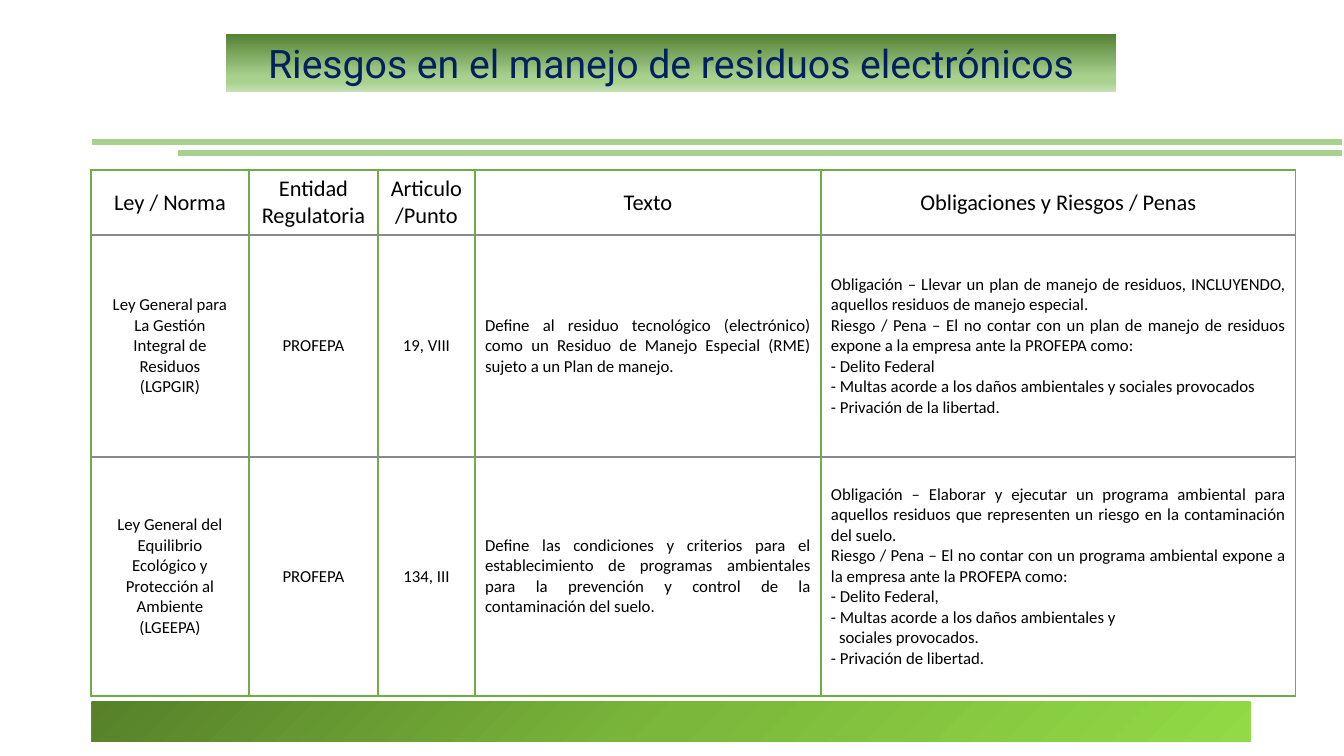
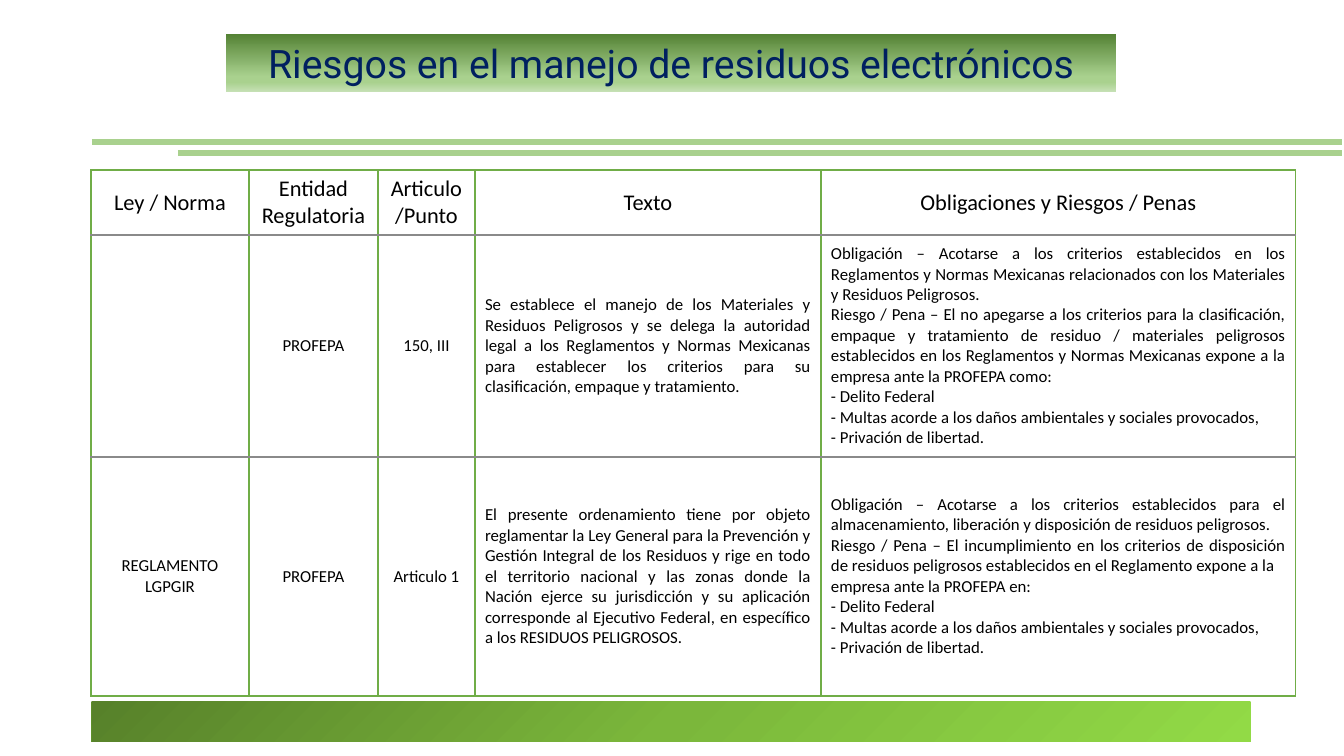
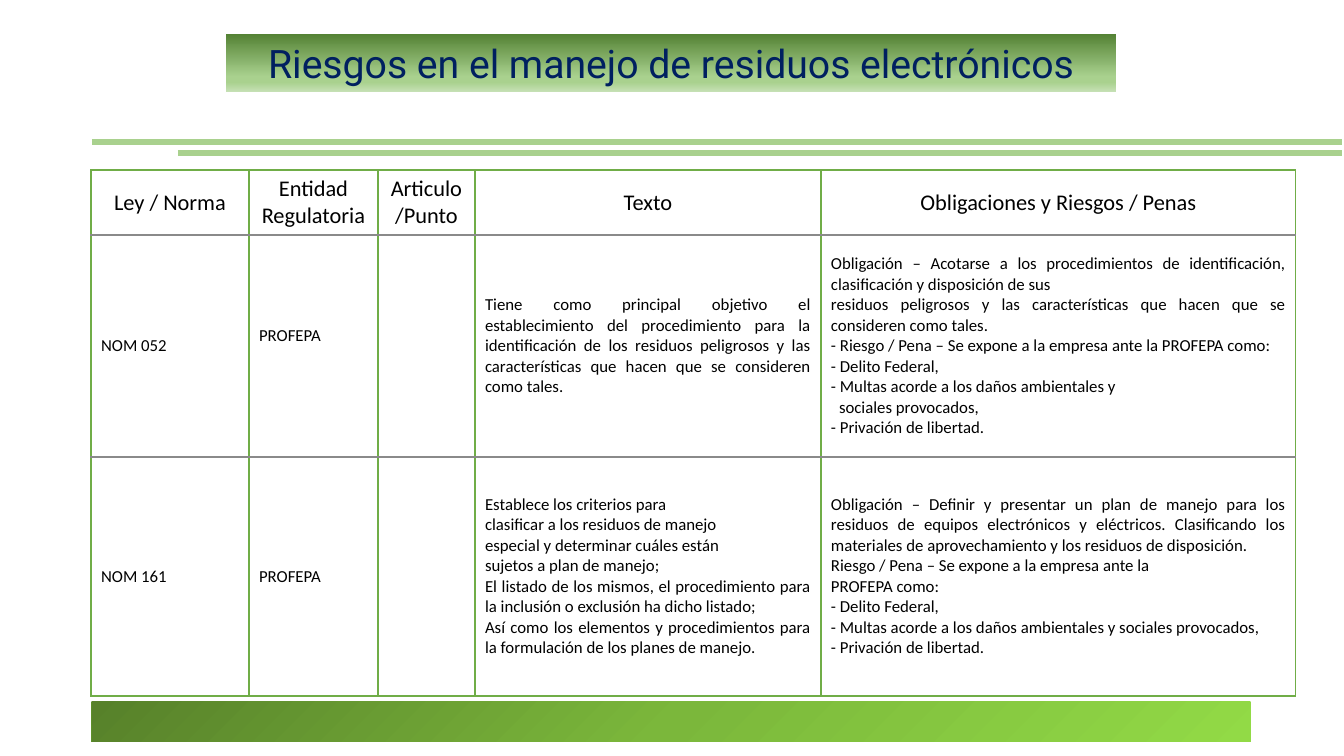
from pptx import Presentation
from pptx.dml.color import RGBColor
from pptx.enum.shapes import MSO_CONNECTOR as LINK, MSO_SHAPE as FORM
from pptx.enum.text import MSO_ANCHOR as ANCHOR, MSO_AUTO_SIZE as FIT, PP_ALIGN as ALIGN
from pptx.oxml.ns import qn
from pptx.util import Pt
from lxml.etree import SubElement

SCALE = 914400 / 100.8
COLOR = {
    "ink": "000000", "paper": "FFFFFF", "title": "002060",
    "rule": "A9D18E", "grid": "70AD47", "split": "8A8A8A",
}
TITLE_STOPS = [(0, "548235"), (74, "A9D18E"), (83, "A9D18E"), (100, "C5E0B4")]
FOOT_STOPS = [(0, "57812A"), (50, "7BB73B"), (100, "92DA46")]

TITLE = "Riesgos en el manejo de residuos electrónicos"
COLS = [158, 129, 97, 346, 475]
ROWS = [65, 222, 239]
HEAD = ["Ley / Norma", "Entidad\nRegulatoria", "Articulo\n/Punto", "Texto",
        "Obligaciones y Riesgos / Penas"]
INDENT = ">"  # marks a paragraph that continues a dash item

LAWS = [
    ["Ley General para\nLa Gestión\nIntegral de\nResiduos\n(LGPGIR)", "PROFEPA", "19, VIII",
     "Define al residuo tecnológico (electrónico) como un Residuo de Manejo Especial (RME) "
     "sujeto a un Plan de manejo.",
     "Obligación – Llevar un plan de manejo de residuos, INCLUYENDO, aquellos residuos de "
     "manejo especial.\n"
     "Riesgo / Pena – El no contar con un plan de manejo de residuos expone a la empresa ante "
     "la PROFEPA como:\n"
     "- Delito Federal\n"
     "- Multas acorde a los daños ambientales y sociales provocados\n"
     "- Privación de la libertad."],
    ["Ley General del\nEquilibrio\nEcológico y\nProtección al\nAmbiente\n(LGEEPA)", "PROFEPA",
     "134, III",
     "Define las condiciones y criterios para el establecimiento de programas ambientales para "
     "la prevención y control de la contaminación del suelo.",
     "Obligación – Elaborar y ejecutar un programa ambiental para aquellos residuos que "
     "representen un riesgo en la contaminación del suelo.\n"
     "Riesgo / Pena – El no contar con un programa ambiental expone a la empresa ante la "
     "PROFEPA como:\n"
     "- Delito Federal,\n"
     "- Multas acorde a los daños ambientales y\n"
     ">sociales provocados.\n"
     "- Privación de libertad."],
]
RULES = [
    ["", "PROFEPA", "150, III",
     "Se establece el manejo de los Materiales y Residuos Peligrosos y se delega la autoridad "
     "legal a los Reglamentos y Normas Mexicanas para establecer los criterios para su "
     "clasificación, empaque y tratamiento.",
     "Obligación – Acotarse a los criterios establecidos en los Reglamentos y Normas Mexicanas "
     "relacionados con los Materiales y Residuos Peligrosos.\n"
     "Riesgo / Pena – El no apegarse a los criterios para la clasificación, empaque y "
     "tratamiento de residuo / materiales peligrosos establecidos en los Reglamentos y Normas "
     "Mexicanas expone a la empresa ante la PROFEPA como:\n"
     "- Delito Federal\n"
     "- Multas acorde a los daños ambientales y sociales provocados,\n"
     "- Privación de libertad."],
    ["REGLAMENTO\nLGPGIR", "PROFEPA", "Articulo 1",
     "El presente ordenamiento tiene por objeto reglamentar la Ley General para la Prevención y "
     "Gestión Integral de los Residuos y rige en todo el territorio nacional y las zonas donde "
     "la Nación ejerce su jurisdicción y su aplicación corresponde al Ejecutivo Federal, en "
     "específico a los RESIDUOS PELIGROSOS.",
     "Obligación – Acotarse a los criterios establecidos para el almacenamiento, liberación y "
     "disposición de residuos peligrosos.\n"
     "Riesgo / Pena – El incumplimiento en los criterios de disposición de residuos peligrosos "
     "establecidos en el Reglamento expone a la\n"
     "empresa ante la PROFEPA en:\n"
     "- Delito Federal\n"
     "- Multas acorde a los daños ambientales y sociales provocados,\n"
     "- Privación de libertad."],
]
NORMS = [
    ["NOM 052", "PROFEPA", "",
     "Tiene como principal objetivo el establecimiento del procedimiento para la identificación "
     "de los residuos peligrosos y las características que hacen que se consideren como tales.",
     "Obligación – Acotarse a los procedimientos de identificación, clasificación y disposición "
     "de sus\n"
     "residuos peligrosos y las características que hacen que se consideren como tales.\n"
     "- Riesgo / Pena – Se expone a la empresa ante la PROFEPA como:\n"
     "- Delito Federal,\n"
     "- Multas acorde a los daños ambientales y\n"
     ">sociales provocados,\n"
     "- Privación de libertad."],
    ["NOM 161", "PROFEPA", "",
     "Establece los criterios para\n"
     "clasificar a los residuos de manejo\n"
     "especial y determinar cuáles están\n"
     "sujetos a plan de manejo;\n"
     "El listado de los mismos, el procedimiento para la inclusión o exclusión ha dicho listado;\n"
     "Así como los elementos y procedimientos para la formulación de los planes de manejo.",
     "Obligación – Definir y presentar un plan de manejo para los residuos de equipos "
     "electrónicos y eléctricos. Clasificando los materiales de aprovechamiento y los residuos "
     "de disposición.\n"
     "Riesgo / Pena – Se expone a la empresa ante la\n"
     "PROFEPA como:\n"
     "- Delito Federal,\n"
     "- Multas acorde a los daños ambientales y sociales provocados,\n"
     "- Privación de libertad."],
]


def px(n):
    return round(n * SCALE)


def rgb(name):
    return RGBColor.from_string(COLOR[name])


def write(frame, text, size=12, font="Calibri", color="ink", align=ALIGN.CENTER):
    for i, line in enumerate(text.split("\n")):
        par = frame.add_paragraph() if i else frame.paragraphs[0]
        par.text = line.removeprefix(INDENT)
        if line.startswith(INDENT):
            par._p.get_or_add_pPr().set("marL", str(px(8)))
        par.alignment = align
        par.line_spacing = 1.0
        par.font.size = Pt(size)
        par.font.name = font
        par.font.bold = False
        par.font.color.rgb = rgb(color)


def blend(shape, stops, angle=None):
    """Fill with a linear gradient, or a radial one from the top left without an angle."""
    shape.fill.gradient()
    grad = shape.element.spPr.find(qn("a:gradFill"))
    for part in list(grad):
        grad.remove(part)
    group = SubElement(grad, qn("a:gsLst"))
    for pos, color in stops:
        stop = SubElement(group, qn("a:gs"), pos=str(pos * 1000))
        SubElement(stop, qn("a:srgbClr"), val=color)
    if angle is None:
        ring = SubElement(grad, qn("a:path"), path="circle")
        SubElement(ring, qn("a:fillToRect"), r="100000", b="100000")
    else:
        SubElement(grad, qn("a:lin"), ang=str(angle * 60000), scaled="0")


def add_rule(slide, left, right, y):
    rule = slide.shapes.add_connector(LINK.STRAIGHT, px(left), px(y), px(right), px(y))
    rule.line.color.rgb = rgb("rule")
    rule.line.width = Pt(4)
    SubElement(rule.element.spPr, qn("a:effectLst"))
    return rule


def add_foot(slide, x, y, w, h):
    band = slide.shapes.add_shape(FORM.RECTANGLE, px(x), px(y), px(w), px(h))
    band.shadow.inherit = False
    band.line.fill.background()
    blend(band, FOOT_STOPS)
    return band


def share(slide):
    """Draw the common bands and move them to the layout of the slide."""
    parts = [add_foot(slide, 92, 702, 1159, 40),
             add_rule(slide, 178, 1342, 153), add_rule(slide, 92, 1342, 142)]
    tree = slide.slide_layout.element.cSld.spTree
    for number, part in enumerate(parts, 101):
        part.element.xpath(".//p:cNvPr")[0].set("id", str(number))
        tree.append(part.element)


def set_title(slide, x, y, w, h):
    title = slide.shapes.title
    title.left, title.top, title.width, title.height = map(px, (x, y, w, h))
    blend(title, TITLE_STOPS, 90)
    frame = title.text_frame
    frame.word_wrap = True
    frame.auto_size = FIT.NONE
    frame.vertical_anchor = ANCHOR.MIDDLE
    write(frame, TITLE, size=28, font="Roboto", color="title")


def edge(cell, top, bottom):
    props = cell._tc.get_or_add_tcPr()
    for side, color in zip("LRTB", ("grid", "grid", top, bottom)):
        line = SubElement(props, qn("a:ln" + side), w=str(Pt(1)))
        fill = SubElement(line, qn("a:solidFill"))
        SubElement(fill, qn("a:srgbClr"), val=COLOR[color])


def add_grid(slide, x, y, rows, middle):
    """Add the law table; middle aligns the three short columns."""
    cells = [HEAD] + rows
    table = slide.shapes.add_table(len(ROWS), len(COLS), px(x), px(y),
                                   px(sum(COLS)), px(sum(ROWS))).table
    table.first_row = table.horz_banding = False
    for col, width in zip(table.columns, COLS):
        col.width = px(width)
    for r, height in enumerate(ROWS):
        table.rows[r].height = px(height)
        for c, text in enumerate(cells[r]):
            cell = table.cell(r, c)
            edge(cell, "split" if r else "grid", "split" if r < len(ROWS) - 1 else "grid")
            cell.fill.solid()
            cell.fill.fore_color.rgb = rgb("paper")
            cell.vertical_anchor = ANCHOR.MIDDLE
            if r == 0:
                write(cell.text_frame, text, size=16)
            else:
                write(cell.text_frame, text, align=middle if c < 3 else ALIGN.JUSTIFY)
    return table


def add_page(deck, rows, middle=ALIGN.CENTER):
    slide = deck.slides.add_slide(deck.slide_layouts[5])
    set_title(slide, 226, 34, 890, 58)
    return slide, add_grid(slide, 91, 170, rows, middle)


def main():
    deck = Presentation()
    deck.slide_width, deck.slide_height = px(1344), px(756)
    first, _ = add_page(deck, LAWS)
    share(first)
    add_page(deck, RULES)
    _, norms = add_page(deck, NORMS, ALIGN.JUSTIFY)
    norms.cell(1, 1).margin_bottom = px(25)
    deck.save("out.pptx")


if __name__ == "__main__":
    main()
